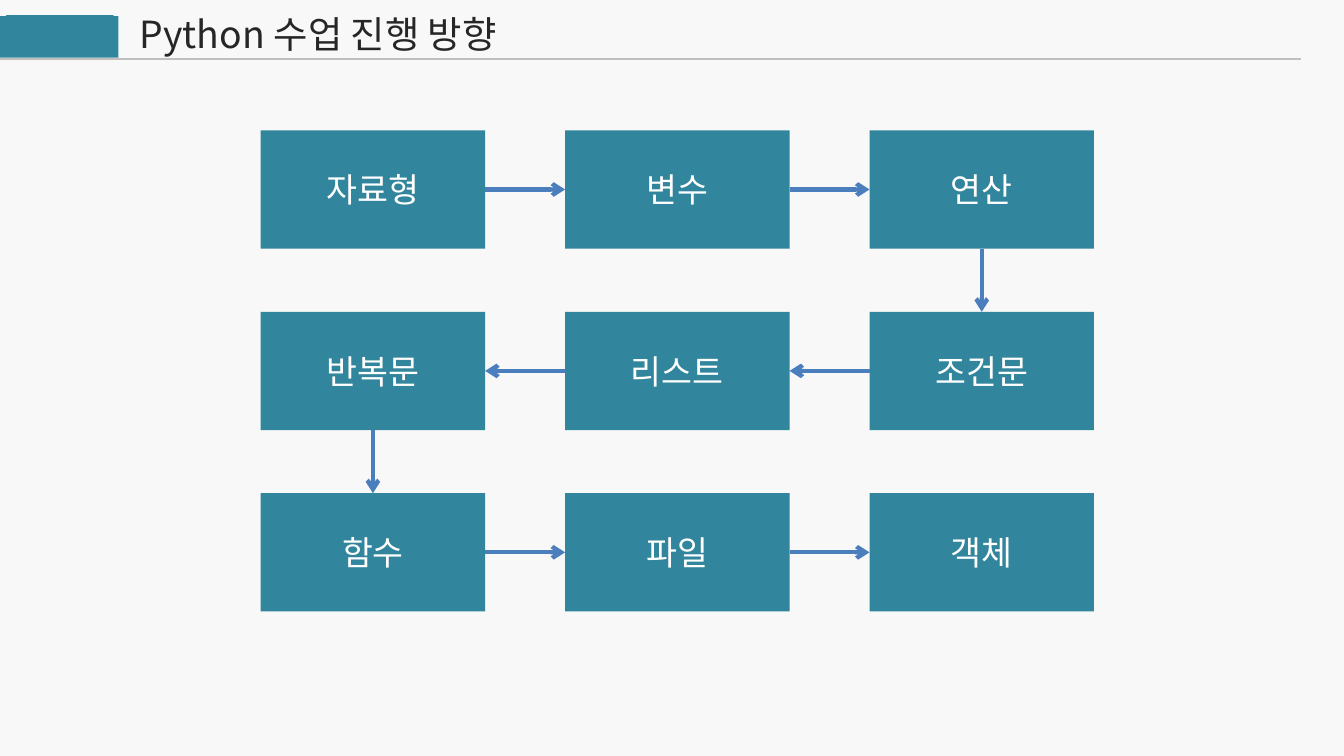
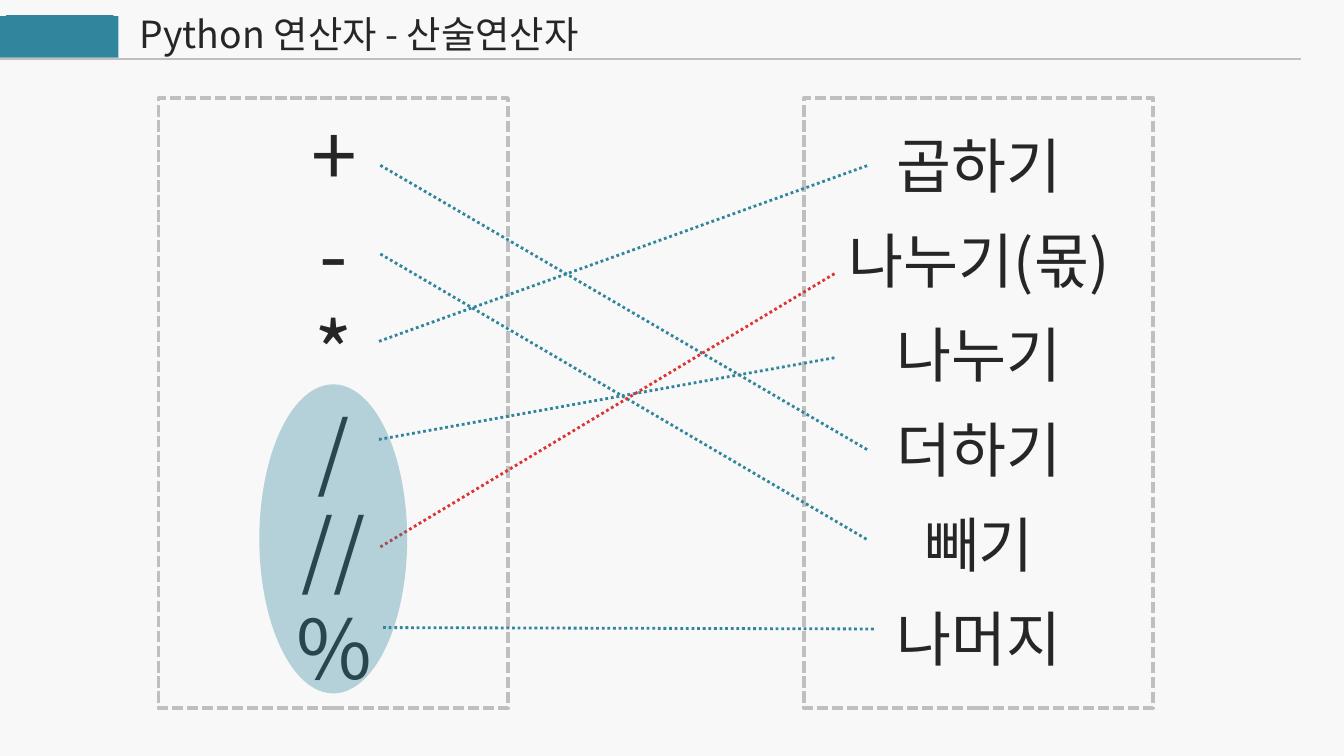
from itertools import pairwise

from lxml import etree
from pptx import Presentation
from pptx.dml.color import RGBColor
from pptx.enum import dml, shapes, text
from pptx.oxml import ns
from pptx.util import Inches, Pt

FONT = "Noto Sans CJK KR"
COLORS = {
    "background": "F8F8F8",
    "teal": "31859C",
    "ink": "262626",
    "white": "FFFFFF",
    "rule": "BFBFBF",
    "arrow": "4B7EBC",
    "red": "DC3434",
}
SHAPE = shapes.MSO_SHAPE
DASH = dml.MSO_LINE
TOP, LEFT, BOTTOM, RIGHT = range(4)


def rgb(name):
    return RGBColor.from_string(COLORS[name])


def style_line(line, color, width, dash=None):
    line.color.rgb = rgb(color)
    line.width = Pt(width)
    if dash is not None:
        line.dash_style = dash


def write(tf, lines, size, color, align, gap=0):
    """Fill a text frame with one paragraph per line, gap points apart."""
    tf.text = "\n".join(lines)
    tf.word_wrap = True
    for i, p in enumerate(tf.paragraphs):
        p.alignment = align
        p.space_before = Pt(gap if i else 0)
        for r in p.runs:
            r.font.name = FONT
            r.font.size = Pt(size)
            r.font.color.rgb = rgb(color)
            ea = etree.SubElement(r._r.get_or_add_rPr(), ns.qn("a:ea"))
            ea.set("typeface", FONT)


def add_shape(s, kind, box, fill=None):
    sp = s.shapes.add_shape(kind, *map(Inches, box))
    sp.shadow.inherit = False
    if fill:
        sp.fill.solid()
        sp.fill.fore_color.rgb = rgb(fill)
    else:
        sp.fill.background()
    sp.line.fill.background()
    return sp


def add_line(s, start, end, color, width, dash=None):
    cxn = s.shapes.add_connector(
        shapes.MSO_CONNECTOR.STRAIGHT, *map(Inches, (*start, *end)))
    style_line(cxn.line, color, width, dash)
    etree.SubElement(cxn._element.spPr, ns.qn("a:effectLst"))
    return cxn


def add_slide(prs, title):
    """Add a slide with the shared title, teal tab and rule."""
    s = prs.slides.add_slide(prs.slide_layouts[5])
    sp = s.shapes.title
    sp.left, sp.top, sp.width, sp.height = map(Inches, (0.94, 0.03, 4.85, 0.44))
    tf = sp.text_frame
    tf.auto_size = text.MSO_AUTO_SIZE.NONE
    tf.vertical_anchor = text.MSO_ANCHOR.TOP
    write(tf, [title], 20, "ink", text.PP_ALIGN.LEFT)
    add_shape(s, SHAPE.RECTANGLE, (-0.01, 0.12, 0.89, 0.31), "teal")
    tab = add_shape(s, SHAPE.RECTANGLE, (0.05, 0.12, 0.79, 0.3), "teal")
    style_line(tab.line, "teal", 0.75)
    add_line(s, (-0.02, 0.44), (9.68, 0.44), "rule", 1)
    return s


def add_arrow(s, start, start_side, end, end_side):
    cxn = add_line(s, (0, 0), (0, 0), "arrow", 2.25)
    cxn.begin_connect(start, start_side)
    cxn.end_connect(end, end_side)
    ln = cxn.line._get_or_add_ln()
    etree.SubElement(ln, ns.qn("a:tailEnd")).set("type", "arrow")


def add_snake(s, box, steps, columns=3, step_w=1.67, step_h=0.88):
    """Lay steps out row by row, every second row running right to left."""
    x, y, w, h = box
    rows = len(steps) // columns
    pitch_x = (w - step_w) / (columns - 1)
    pitch_y = (h - step_h) / (rows - 1)
    placed = []
    for i, step in enumerate(steps):
        row, col = divmod(i, columns)
        if row % 2:
            col = columns - 1 - col
        sp = add_shape(s, SHAPE.RECTANGLE,
                       (x + col * pitch_x, y + row * pitch_y, step_w, step_h),
                       "teal")
        sp.text_frame.vertical_anchor = text.MSO_ANCHOR.MIDDLE
        write(sp.text_frame, [step], 18, "white", text.PP_ALIGN.CENTER)
        placed.append((row, sp))
    for (row, a), (next_row, b) in pairwise(placed):
        if row != next_row:
            sides = BOTTOM, TOP
        elif row % 2:
            sides = LEFT, RIGHT
        else:
            sides = RIGHT, LEFT
        add_arrow(s, a, sides[0], b, sides[1])


def add_panel(s, box, text_box, lines, size, gap=0):
    """Draw a dashed frame at box and its lines in text_box, relative to it."""
    frame = add_shape(s, SHAPE.RECTANGLE, box)
    style_line(frame.line, "rule", 2, DASH.SQUARE_DOT)
    dx, dy, w, h = text_box
    label = s.shapes.add_textbox(
        *map(Inches, (box[0] + dx, box[1] + dy, w, h)))
    write(label.text_frame, lines, size, "ink", text.PP_ALIGN.CENTER, gap)


def add_highlight(s, box):
    sp = add_shape(s, SHAPE.OVAL, box, "teal")
    color = sp.fill._xPr.find(ns.qn("a:solidFill"))[0]
    etree.SubElement(color, ns.qn("a:alpha")).set("val", "34000")


def add_match(s, start, end, color="teal"):
    add_line(s, start, end, color, 1.5, DASH.ROUND_DOT)


def build_course_slide(prs):
    s = add_slide(prs, "Python 수업 진행 방향")
    add_snake(s, (1.94, 0.97, 6.2, 3.58),
              ["자료형", "변수", "연산", "조건문", "리스트", "반복문",
               "함수", "파일", "객체"])


def build_operator_slide(prs):
    s = add_slide(prs, "Python 연산자 - 산술연산자")
    add_panel(s, (1.18, 0.73, 2.6, 4.54), (0.28, 0, 2.05, 4.54),
              ["+", "-", "*", "/", "//", "%"], 44)
    add_panel(s, (5.98, 0.73, 2.6, 4.54), (-0.23, 0.18, 3.07, 4.22),
              ["곱하기", "나누기(몫)", "나누기", "더하기", "빼기", "나머지"],
              32, 12.3)
    add_match(s, (2.83, 1.23), (6.46, 3.35))
    add_match(s, (2.83, 1.89), (6.46, 4.02))
    add_match(s, (2.82, 2.54), (6.46, 1.23))
    add_match(s, (2.82, 3.27), (6.22, 2.66))
    add_match(s, (2.83, 4.07), (6.22, 2.03), "red")
    add_highlight(s, (1.93, 2.86, 1.1, 2.3))
    add_match(s, (2.85, 4.67), (6.51, 4.68))


def main():
    prs = Presentation()
    prs.slide_width = Inches(10)
    prs.slide_height = prs.slide_width * 9 // 16
    fill = prs.slide_master.background.fill
    fill.solid()
    fill.fore_color.rgb = rgb("background")
    build_course_slide(prs)
    build_operator_slide(prs)
    prs.save("out.pptx")


if __name__ == "__main__":
    main()
